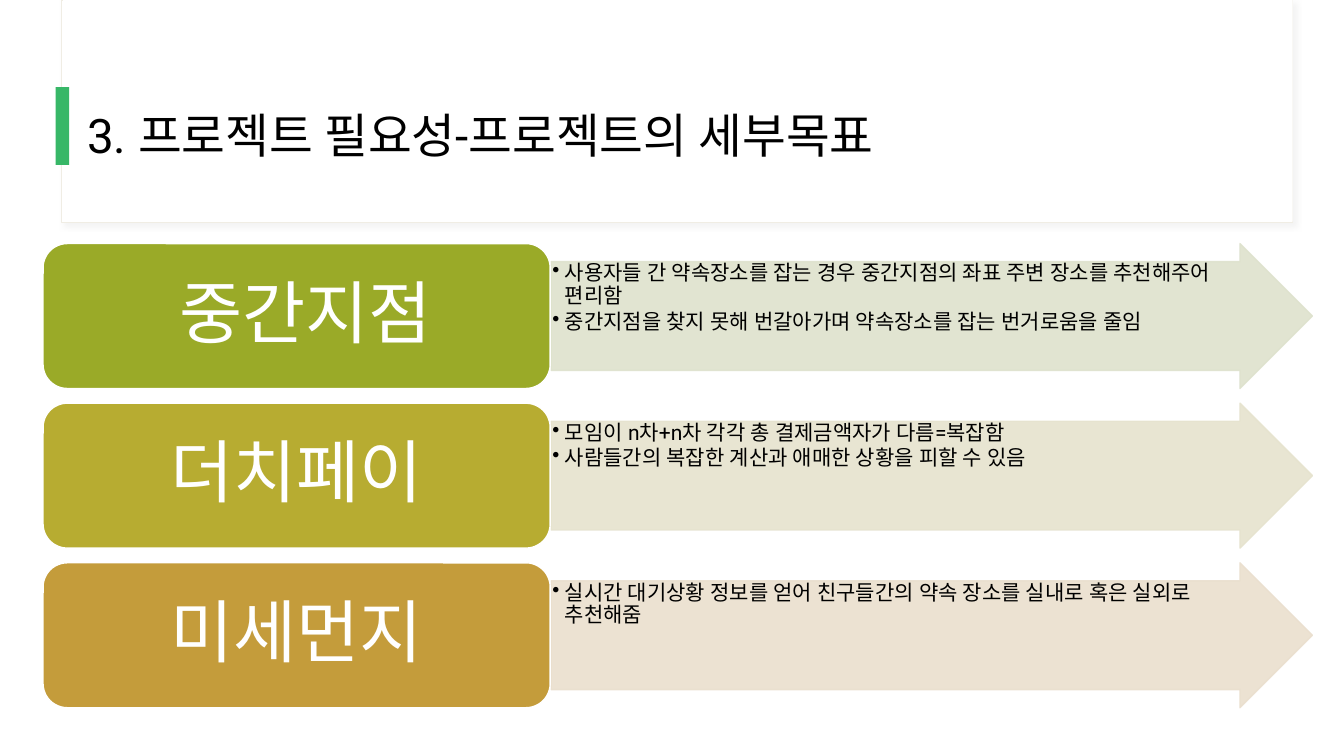
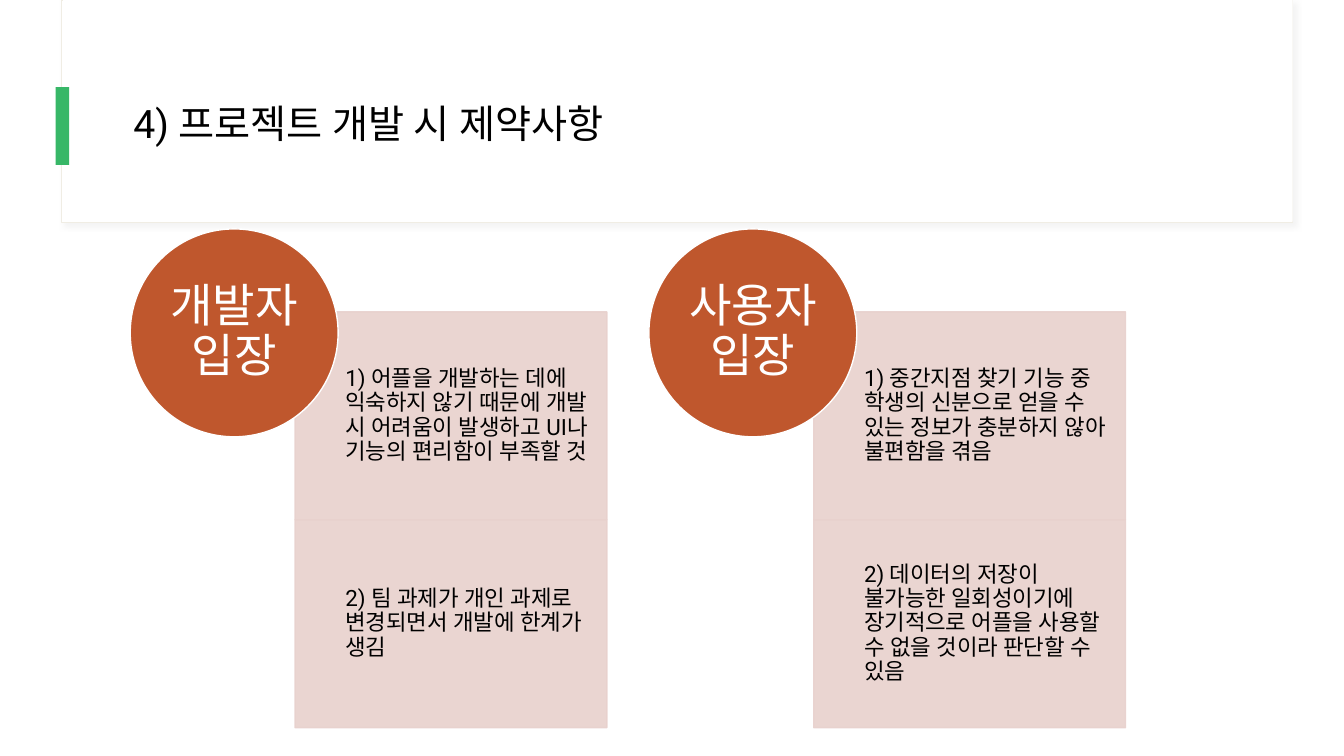
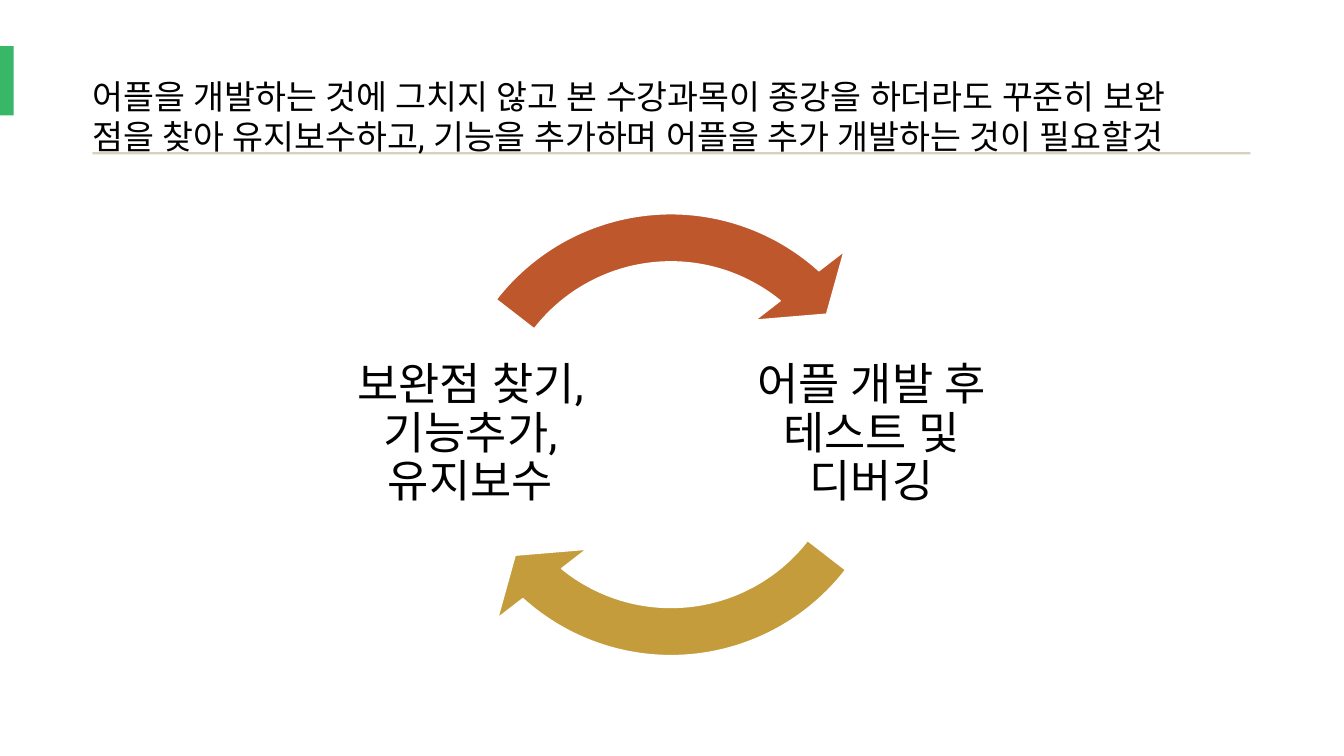
from lxml.etree import SubElement
from pptx import Presentation
from pptx.dml.color import RGBColor
from pptx.enum.lang import MSO_LANGUAGE_ID as Language
from pptx.enum.shapes import MSO_SHAPE as Shape
from pptx.enum.text import MSO_ANCHOR as Anchor, PP_ALIGN as Align
from pptx.oxml.ns import qn
from pptx.util import Pt

PX = 9525
WIDTH, HEIGHT = 1280, 720
FONT = "Roboto"
BLACK = RGBColor(0x00, 0x00, 0x00)
WHITE = RGBColor(0xFF, 0xFF, 0xFF)
GREEN = RGBColor(0x37, 0xB7, 0x67)
FRAME = RGBColor(0xF0, 0xED, 0xE4)
RULE = RGBColor(0xDA, 0xD1, 0xBC)
OLIVE = RGBColor(0x9A, 0xAA, 0x28)
OLIVE_TINT = RGBColor(0xDE, 0xE2, 0xCD)
MUSTARD = RGBColor(0xB7, 0xAC, 0x31)
MUSTARD_TINT = RGBColor(0xE6, 0xE3, 0xCE)
GOLD = RGBColor(0xC4, 0x9C, 0x3B)
GOLD_TINT = RGBColor(0xEA, 0xDF, 0xCE)
RUST = RGBColor(0xBF, 0x57, 0x2D)
ROSE = RGBColor(0xE8, 0xD1, 0xCD)


class Deck:
    def __init__(self):
        self.presentation = Presentation()
        self.presentation.slide_width = WIDTH * PX
        self.presentation.slide_height = HEIGHT * PX
        self.slide = None

    def new_slide(self):
        layout = self.presentation.slide_layouts[6]
        self.slide = self.presentation.slides.add_slide(layout)

    def shape(self, kind, box, fill, line=None, line_width=1, alpha=None):
        shape = self.slide.shapes.add_shape(kind, *(n * PX for n in box))
        shape.shadow.inherit = False
        shape.fill.solid()
        shape.fill.fore_color.rgb = fill
        if line is None:
            shape.line.fill.background()
        else:
            shape.line.color.rgb = line
            shape.line.width = Pt(line_width)
        if alpha:
            for color in shape._element.spPr.iter(qn("a:srgbClr")):
                SubElement(color, qn("a:alpha"), val=str(alpha * 1000))
        return shape

    def fill_text(self, shape, texts, size, color=BLACK, align=Align.LEFT,
                  anchor=Anchor.MIDDLE, insets=(10, 5, 10, 5), spacing=0.9, bullet=False):
        frame = shape.text_frame
        frame.word_wrap = True
        frame.vertical_anchor = anchor
        (frame.margin_left, frame.margin_top,
         frame.margin_right, frame.margin_bottom) = (n * PX for n in insets)
        for index, text in enumerate(texts):
            paragraph = frame.add_paragraph() if index else frame.paragraphs[0]
            paragraph.alignment = align
            paragraph.line_spacing = spacing
            if bullet:
                paragraph.space_after = Pt(2)
                properties = paragraph._p.get_or_add_pPr()
                properties.set("marL", str(12 * PX))
                properties.set("indent", str(-12 * PX))
                SubElement(properties, qn("a:buChar"), char="•")
            run = paragraph.add_run()
            run.text = text
            font = run.font
            font.size = Pt(size)
            font.color.rgb = color
            font.name = FONT
            font.language_id = Language.KOREAN
            SubElement(run._r.get_or_add_rPr(), qn("a:ea"), typeface=FONT)

    def text(self, box, texts, size, **style):
        textbox = self.slide.shapes.add_textbox(*(n * PX for n in box))
        self.fill_text(textbox, texts, size, **style)

    def header(self, title, box, size, anchor):
        frame = self.shape(Shape.RECTANGLE, (59, 0, 1172, 212), WHITE, FRAME, 0.75)
        effects = frame._element.spPr.find(qn("a:effectLst"))
        shadow = SubElement(effects, qn("a:outerShdw"), blurRad=str(Pt(4)),
                            dist=str(Pt(3)), dir=str(45 * 60000))
        color = SubElement(shadow, qn("a:srgbClr"), val="D9D9D9")
        SubElement(color, qn("a:alpha"), val="30000")
        self.shape(Shape.RECTANGLE, (60, 0, 1171, 211), WHITE)
        self.accent(53, 83, 74)
        self.text(box, [title], size, anchor=anchor)

    def accent(self, left, top, height):
        self.shape(Shape.RECTANGLE, (left, top, 13, height), GREEN)

    def goal(self, top, name, points, color, tint):
        arrow = self.shape(Shape.RIGHT_ARROW, (525, top, 725, 138), tint, tint, alpha=90)
        arrow.adjustments[0] = 0.75
        arrow.adjustments[1] = 0.5
        self.fill_text(arrow, points, 15, anchor=Anchor.TOP, insets=(1, 1, 35, 1), bullet=True)
        label = self.shape(Shape.ROUNDED_RECTANGLE, (41, top, 483, 138), color, WHITE)
        self.fill_text(label, [name], 49, WHITE, Align.CENTER, insets=(19, 10, 19, 10))

    def viewpoint(self, left, name, limits):
        side = 198
        for row, limit in enumerate(limits):
            box = (left + 157, 297 + row * side, 297, side)
            panel = self.shape(Shape.RECTANGLE, box, ROSE, ROSE, alpha=90)
            self.fill_text(panel, [limit], 16, insets=(48, 12, 12, 12))
        circle = self.shape(Shape.OVAL, (left, 218, side, side), RUST, WHITE)
        self.fill_text(circle, [name], 33, WHITE, Align.CENTER, insets=(0, 0, 0, 0))

    def cycle_arrow(self, start, color):
        arrow = self.shape(Shape.CIRCULAR_ARROW, (398, 173, 482, 482), color, WHITE)
        degree = 0.6
        values = (9.5 / 100, 11.42 * degree, (start + 93.08) * degree,
                  start * degree, 11.1 / 100)
        for index, value in enumerate(values):
            arrow.adjustments[index] = value

    def cycle_step(self, left, text):
        self.text((left, 297, 234, 234), [text], 32, align=Align.CENTER,
                  insets=(4, 4, 4, 4))


GOALS = [
    (" 중간지점", ["사용자들 간 약속장소를 잡는 경우 중간지점의 좌표 주변 장소를 추천해주어 편리함",
               "중간지점을 찾지 못해 번갈아가며 약속장소를 잡는 번거로움을 줄임"], OLIVE, OLIVE_TINT),
    ("더치페이", ["모임이 n차+n차 각각 총 결제금액자가 다름=복잡함",
              "사람들간의 복잡한 계산과 애매한 상황을 피할 수 있음"], MUSTARD, MUSTARD_TINT),
    ("미세먼지", ["실시간 대기상황 정보를 얻어 친구들간의 약속 장소를 실내로 혹은 실외로 추천해줌"],
     GOLD, GOLD_TINT),
]
VIEWPOINTS = [
    ("개발자 입장", ["1) 어플을 개발하는 데에 익숙하지 않기 때문에 개발 시 어려움이 발생하고 UI나 기능의 편리함이 부족할 것",
                "2) 팀 과제가 개인 과제로 변경되면서 개발에 한계가 생김"]),
    ("사용자 입장", ["1) 중간지점 찾기 기능 중 학생의 신분으로 얻을 수 있는 정보가 충분하지 않아 불편함을 겪음",
                "2) 데이터의 저장이 불가능한 일회성이기에 장기적으로 어플을 사용할 수 없을 것이라 판단할 수 있음"]),
]


def main():
    deck = Deck()

    deck.new_slide()
    deck.header("3. 프로젝트 필요성-프로젝트의 세부목표", (73, 7, 1200, 154), 34, Anchor.BOTTOM)
    for row, goal in enumerate(GOALS):
        deck.goal(232 + row * 152, *goal)

    deck.new_slide()
    deck.header("4) 프로젝트 개발 시 제약사항", (117, 58, 1068, 124), 28, Anchor.MIDDLE)
    for column, viewpoint in enumerate(VIEWPOINTS):
        deck.viewpoint(124 + column * 494, *viewpoint)

    deck.new_slide()
    deck.accent(0, 44, 66)
    deck.shape(Shape.RECTANGLE, (88, 145, 1103, 2), RULE)
    deck.cycle_step(713, "어플 개발 후 테스트 및 디버깅")
    deck.cycle_arrow(37.75, GOLD)
    deck.cycle_step(331, "보완점 찾기, 기능추가, 유지보수")
    deck.cycle_arrow(217.75, RUST)
    deck.text((78, 67, 1162, 87),
              ["어플을 개발하는 것에 그치지 않고 본 수강과목이 종강을 하더라도 꾸준히 보완",
               "점을 찾아 유지보수하고, 기능을 추가하며 어플을 추가 개발하는 것이 필요할것"],
              24, anchor=Anchor.TOP, spacing=1.0)

    deck.presentation.save("out.pptx")


if __name__ == "__main__":
    main()
